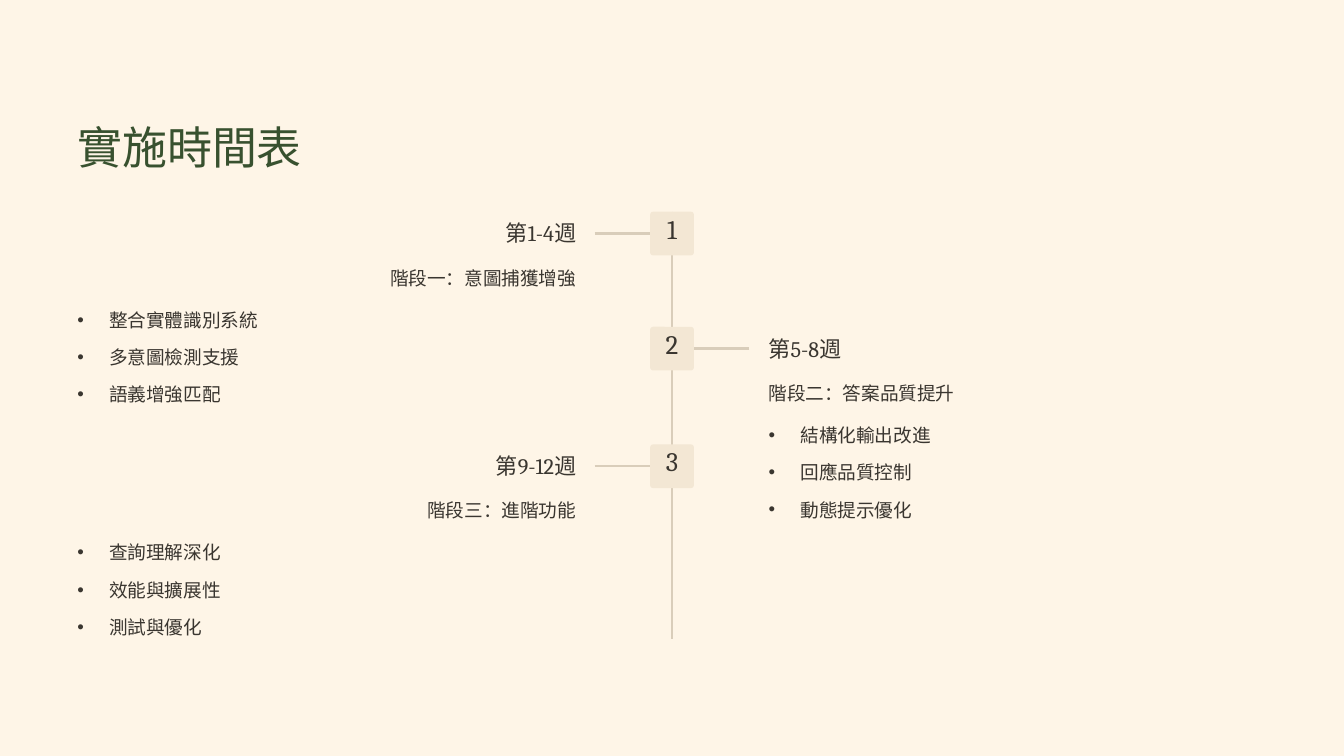
from lxml import etree
from pptx import Presentation, util as u
from pptx.dml.color import RGBColor
from pptx.enum import shapes, text
from pptx.oxml.ns import qn

TITLE = "實施時間表"
STEPS = [
    ("第1-4週", "階段一：意圖捕獲增強",
     ["整合實體識別系統", "多意圖檢測支援", "語義增強匹配"]),
    ("第5-8週", "階段二：答案品質提升",
     ["結構化輸出改進", "回應品質控制", "動態提示優化"]),
    ("第9-12週", "階段三：進階功能",
     ["查詢理解深化", "效能與擴展性", "測試與優化"]),
]
TOPS = [2.52, 3.89, 5.29]
COLORS = {"page": "FEF5E7", "title": "38512F", "text": "3A3630",
          "line": "D9CDBA", "box": "F3E7D4"}
LEFT, RIGHT, WIDE, SHORT = 0.92, 9.15, 5.94, 2.69
MID, BOX, END = 8, 0.52, 7.61
REACH = 0.92

Inches = u.Inches
LEFT_AL, RIGHT_AL = text.PP_ALIGN.LEFT, text.PP_ALIGN.RIGHT


def color(name):
    return RGBColor.from_string(COLORS[name])


def place(shape, x, y, w, h):
    shape.left, shape.top = Inches(x), Inches(y)
    shape.width, shape.height = Inches(w), Inches(h)
    return shape


def write(shape, lines, size=16, lead=26, font="Roboto", tint="text",
          align=LEFT_AL, bullet=False, inset=0):
    frame = shape.text_frame
    frame.word_wrap = True
    frame.auto_size = text.MSO_AUTO_SIZE.NONE
    frame.vertical_anchor = text.MSO_ANCHOR.TOP
    frame.margin_left = frame.margin_right = frame.margin_bottom = 0
    frame.margin_top = Inches(inset)
    for i, line in enumerate(lines):
        para = frame.paragraphs[0] if i == 0 else frame.add_paragraph()
        para.text = line
        para.alignment = align
        para.line_spacing = u.Pt(lead)
        para.space_before = u.Pt(6 if i else 0)
        if bullet:
            props = para._p.get_or_add_pPr()
            props.set("marL", str(Inches(0.38)))
            props.set("indent", str(Inches(-0.38)))
            etree.SubElement(props, qn("a:buChar")).set("char", "•")
        para.font.name = font
        para.font.size = u.Pt(size)
        para.font.bold = False
        para.font.color.rgb = color(tint)


def link(slide, x1, y1, x2, y2):
    line = slide.shapes.add_connector(
        shapes.MSO_CONNECTOR.STRAIGHT,
        Inches(x1), Inches(y1), Inches(x2), Inches(y2))
    line.line.color.rgb = color("line")
    line.line.width = u.Pt(2)
    etree.SubElement(line._element.spPr, qn("a:effectLst"))
    return line


def add_box(slide, top, num):
    box = slide.shapes.add_shape(
        shapes.MSO_SHAPE.ROUNDED_RECTANGLE, Inches(MID - BOX / 2),
        Inches(top), Inches(BOX), Inches(BOX))
    box.adjustments[0] = 0.067
    box.shadow.inherit = False
    box.fill.solid()
    box.fill.fore_color.rgb = color("box")
    box.line.fill.background()
    write(box, [str(num)], size=23, lead=23, font="Cambria",
          align=text.PP_ALIGN.CENTER, inset=0.06)
    return box


def add_text(slide, x, y, w, h, line, **style):
    box = slide.shapes.add_textbox(0, 0, 0, 0)
    write(place(box, x, y, w, h), [line], **style)


def add_step(slide, body, num, top, step):
    week, phase, items = step
    left = num % 2 == 1
    sign = -1 if left else 1
    align = RIGHT_AL if left else LEFT_AL
    x = LEFT if left else RIGHT
    week_x = LEFT + WIDE - SHORT if left else RIGHT
    mid = top + BOX / 2

    box = add_box(slide, top, num)
    arm = link(slide, MID + sign * REACH, mid, MID + sign * BOX / 2, mid)
    arm.end_connect(box, 1 if left else 3)
    add_text(slide, week_x, top + 0.08, SHORT, 0.34, week,
             size=19, lead=24, font="Cambria", align=align)
    add_text(slide, x, top + 0.56, WIDE, 0.37, phase, align=align)
    write(place(body, x, top + 1.06, WIDE, 1.26), items, bullet=True)


def main():
    deck = Presentation()
    deck.slide_width, deck.slide_height = Inches(16), Inches(9)
    slide = deck.slides.add_slide(deck.slide_layouts.get_by_name("Comparison"))
    slide.background.fill.solid()
    slide.background.fill.fore_color.rgb = color("page")
    title, *bodies = list(slide.placeholders)
    write(place(title, LEFT, 1.39, 5.39, 0.67), [TITLE],
          size=38.5, lead=48.5, font="Cambria", tint="title")
    link(slide, MID, TOPS[0], MID, END)
    for num, (body, top, step) in enumerate(zip(bodies, TOPS, STEPS), 1):
        add_step(slide, body, num, top, step)
    for spare in bodies[len(STEPS):]:
        spare._element.getparent().remove(spare._element)
    deck.save("out.pptx")


if __name__ == "__main__":
    main()
